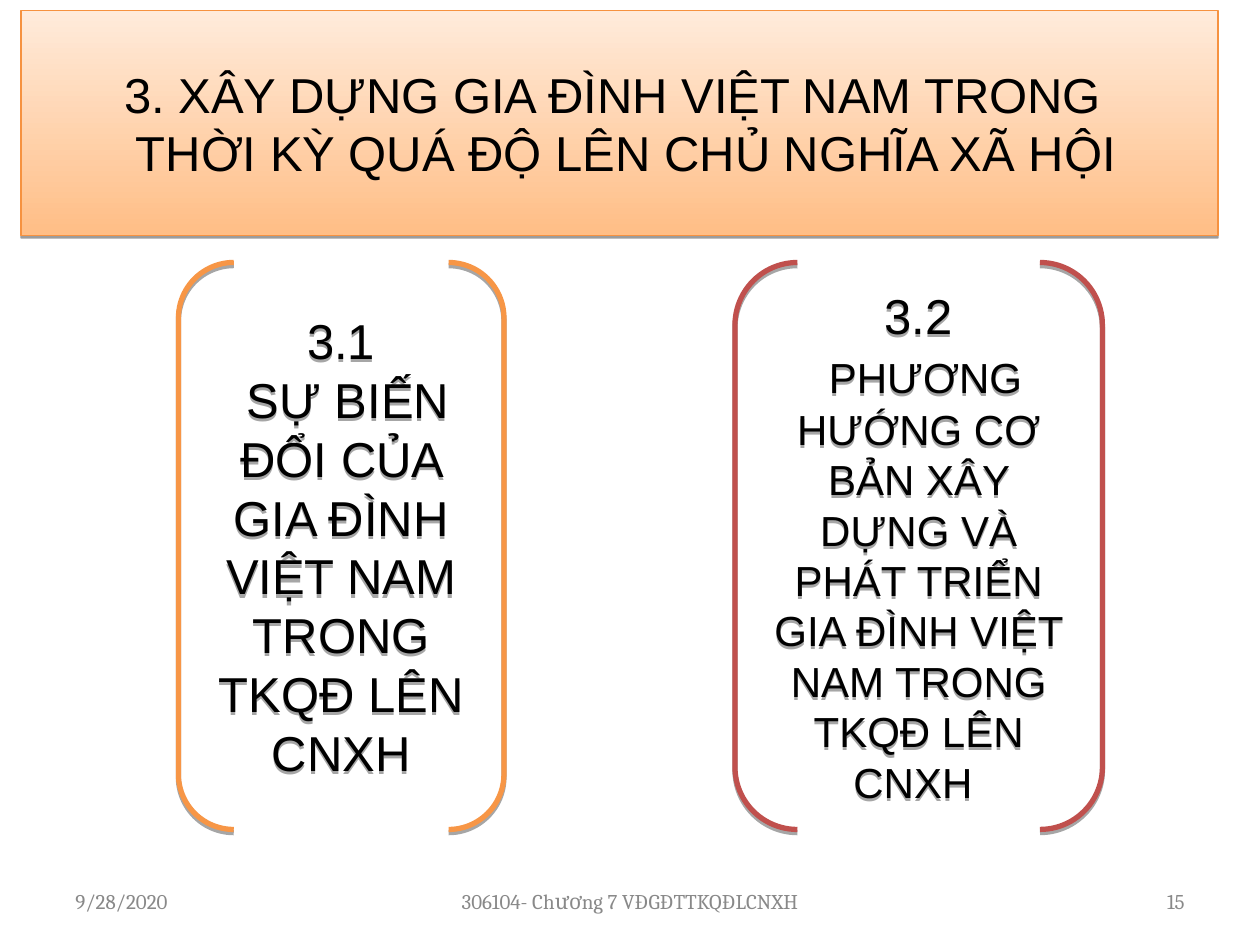
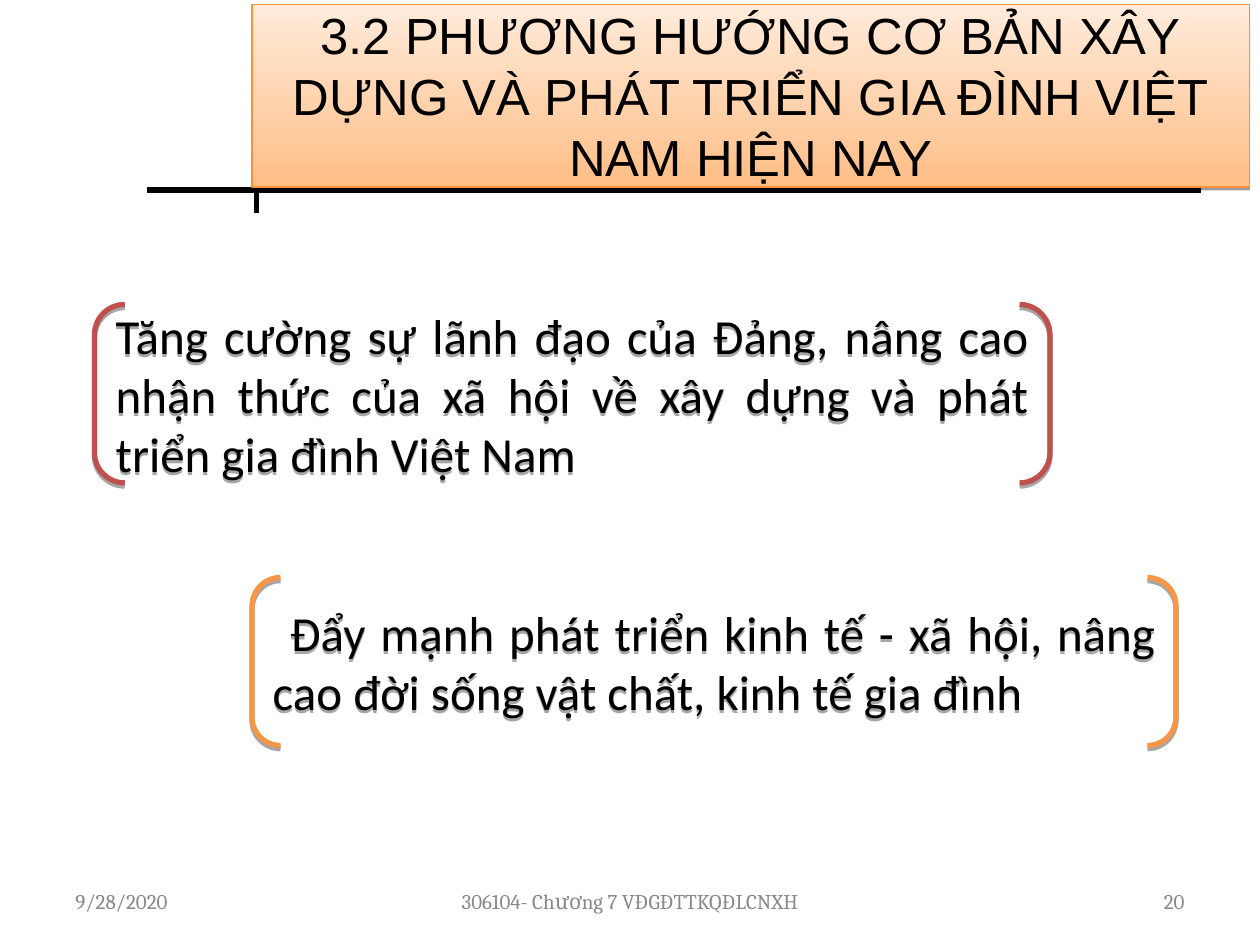
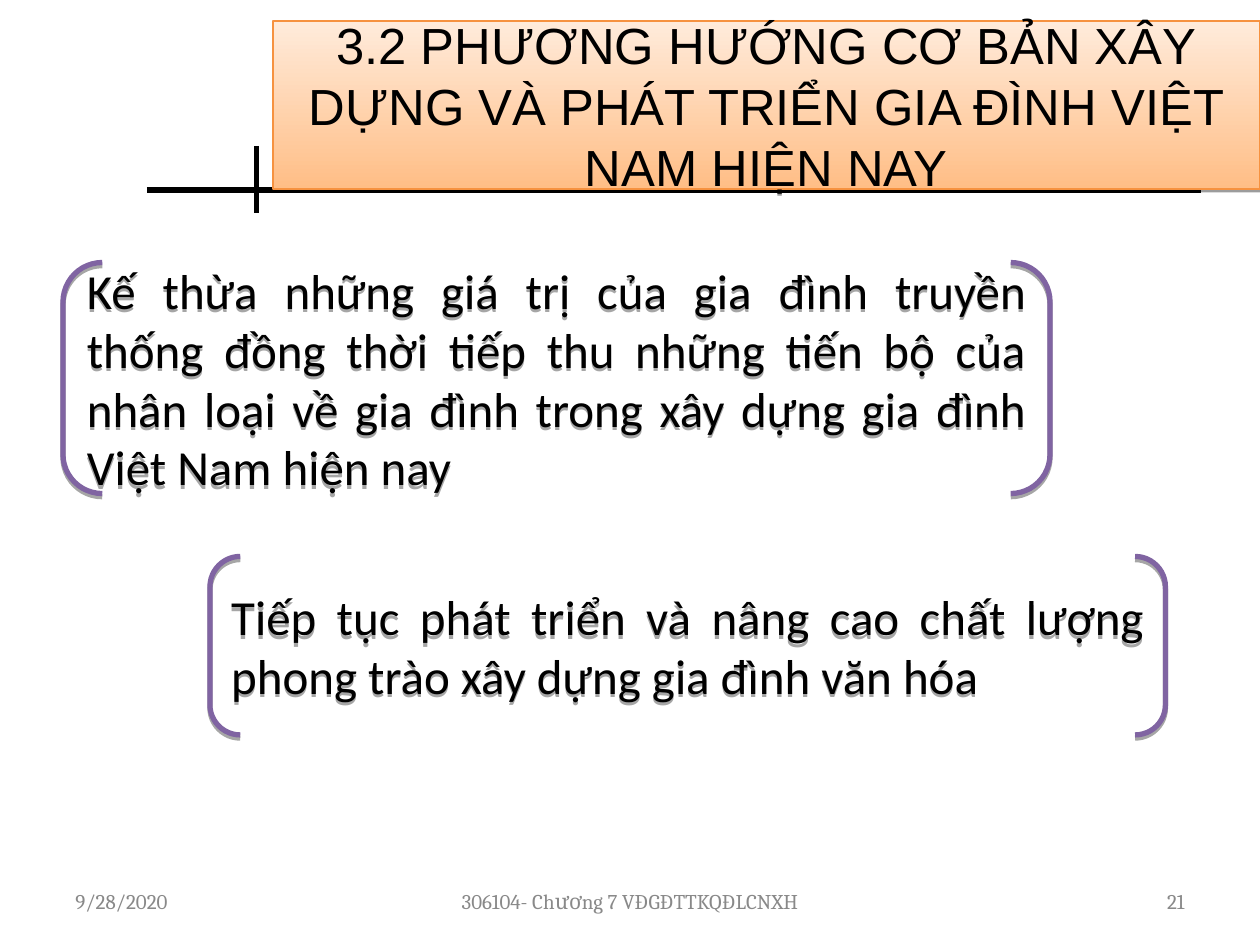
from lxml import etree
from pptx import Presentation
from pptx.dml.color import RGBColor
from pptx.enum.shapes import MSO_CONNECTOR, MSO_SHAPE
from pptx.enum.text import MSO_ANCHOR, MSO_AUTO_SIZE, PP_ALIGN
from pptx.oxml.ns import qn
from pptx.util import Inches, Pt

LEFT, CENTER, RIGHT, JUSTIFY = PP_ALIGN.LEFT, PP_ALIGN.CENTER, PP_ALIGN.RIGHT, PP_ALIGN.JUSTIFY
MIDDLE, NO_FIT = MSO_ANCHOR.MIDDLE, MSO_AUTO_SIZE.NONE
STRAIGHT, BRACKETS = MSO_CONNECTOR.STRAIGHT, MSO_SHAPE.DOUBLE_BRACKET

BLACK, GRAY = "000000", "898989"
ORANGE, RED, PURPLE = "F79646", "C0504D", "8064A2"
BAND_LINE, BAND_BOTTOM, BAND_TOP = "F69240", "FFBE86", "FFEBDB"

TITLE_ONLY = 5
COLUMNS = 120  # the grid is 120 columns by 90 rows of square cells
FOOTER_TEXT = "306104- Chương 7 VĐGĐTTKQĐLCNXH"
SECTION_TITLE = "3.2 PHƯƠNG HƯỚNG CƠ BẢN XÂY DỰNG VÀ PHÁT TRIỂN GIA ĐÌNH VIỆT NAM HIỆN NAY"

# Bracket paragraphs are lists of (text, size, font) spans.
pages = [
    {
        "number": "15",
        "title": "3. XÂY DỰNG GIA ĐÌNH VIỆT NAM TRONG \v THỜI KỲ QUÁ ĐỘ LÊN CHỦ NGHĨA XÃ HỘI",
        "title_size": 28,
        "title_area": (2, 1, 114, 21.4),
        "align": CENTER,
        "brackets": [
            ((17, 25, 31, 54), ORANGE, [
                [("3.1", 28, "Arial")],
                [(" SỰ BIẾN ĐỔI CỦA GIA ĐÌNH VIỆT NAM TRONG TKQĐ LÊN CNXH", 28, "Arial")],
            ]),
            ((70, 25, 35, 54), RED, [
                [("3.2", 28, "Arial")],
                [(" ", 28, "Arial"),
                 ("PHƯƠNG HƯỚNG CƠ BẢN XÂY DỰNG VÀ PHÁT TRIỂN GIA ĐÌNH VIỆT NAM "
                  "TRONG TKQĐ LÊN CNXH ", 24, "Arial")],
            ]),
        ],
    },
    {
        "number": "20",
        "title": SECTION_TITLE,
        "title_size": 29,
        "title_area": (24, 0.4, 95, 17.4),
        "align": JUSTIFY,
        "brackets": [
            ((9, 29, 91, 17), RED, [
                [("Tăng cường sự lãnh đạo của Đảng, nâng cao nhận thức của xã hội "
                  "về xây dựng và phát triển gia đình Việt Nam", 28, "Calibri")],
            ]),
            ((24, 55, 88, 16), ORANGE, [
                [(" ", 28, "Arial"),
                 ("Đẩy mạnh phát triển kinh tế - xã hội, nâng cao đời sống vật chất, "
                  "kinh tế gia đình", 28, "Calibri")],
            ]),
        ],
    },
    {
        "number": "21",
        "title": SECTION_TITLE,
        "title_size": 29,
        "title_area": (26, 2, 94, 16),
        "align": JUSTIFY,
        "brackets": [
            ((20, 53, 91, 17), PURPLE, [
                [("Tiếp tục phát triển và nâng cao chất lượng phong trào xây dựng "
                  "gia đình văn hóa", 28, "Calibri")],
            ]),
            ((6, 25, 94, 22), PURPLE, [
                [("Kế thừa những giá trị của gia đình truyền thống đồng thời tiếp thu "
                  "những tiến bộ của nhân loại về gia đình trong xây dựng gia đình "
                  "Việt Nam hiện nay", 28, "Calibri")],
            ]),
        ],
    },
]


def style(shape, line, width, distance, alpha):
    """Give the shape its outline and a hard shadow straight below it."""
    shape.line.color.rgb = RGBColor.from_string(line)
    shape.line.width = Pt(width)
    effects = etree.SubElement(shape._element.spPr, qn("a:effectLst"))
    if distance:
        shadow = etree.SubElement(effects, qn("a:outerShdw"), blurRad="0",
                                  dist=str(Pt(distance)), dir="5400000", rotWithShape="0")
        color = etree.SubElement(shadow, qn("a:srgbClr"), val=BLACK)
        etree.SubElement(color, qn("a:alpha"), val=str(alpha * 1000))


def write(shape, paragraphs, align, color):
    """Fill the shape with paragraphs made of (text, size, font) spans."""
    frame = shape.text_frame
    settings = {"word_wrap": True, "auto_size": NO_FIT, "vertical_anchor": MIDDLE}
    for name, value in settings.items():
        setattr(frame, name, value)
    for index, spans in enumerate(paragraphs):
        para = frame.add_paragraph() if index else frame.paragraphs[0]
        para.alignment = align
        for text, size, font in spans:
            # A vertical tab in the text stands for a line break.
            for part, words in enumerate(text.split("\v")):
                if part:
                    para.add_line_break()
                span = para.add_run()
                span.text = words
                for name, value in {"size": Pt(size), "name": font, "bold": False}.items():
                    setattr(span.font, name, value)
                span.font.color.rgb = RGBColor.from_string(color)


deck = Presentation()
deck.slide_width, deck.slide_height = Inches(10), Inches(7.5)
cell = deck.slide_width / COLUMNS
layout = deck.slide_layouts[TITLE_ONLY]

for page_index, content in enumerate(pages):
    page = deck.slides.add_slide(layout)

    # The crossed rules belong to the master, so they are made only once.
    if page_index == 0:
        for ends in [(14, 18.1, 114.4, 18.1), (24.4, 13.9, 24.4, 20.3)]:
            rule = page.shapes.add_connector(STRAIGHT, *[int(end * cell) for end in ends])
            style(rule, BLACK, 3, 0, 0)
            deck.slide_master.shapes._spTree.append(rule._element)

    title = page.shapes.title
    places = zip(("left", "top", "width", "height"), content["title_area"])
    for name, cells in places:
        setattr(title, name, int(cells * cell))
    title.fill.gradient()
    title.fill.gradient_angle = 90
    for stop, color in zip(title.fill.gradient_stops, (BAND_BOTTOM, BAND_TOP)):
        stop.color.rgb = RGBColor.from_string(color)
    style(title, BAND_LINE, 0.75, 1.6, 38)
    write(title, [[(content["title"], content["title_size"], "Arial")]], CENTER, BLACK)

    for area, color, paragraphs in content["brackets"]:
        bracket = page.shapes.add_shape(BRACKETS, *[int(cells * cell) for cells in area])
        bracket.adjustments[0] = 0.17
        bracket.fill.background()
        style(bracket, color, 3, 1.8, 35)
        write(bracket, paragraphs, content["align"], BLACK)

    footers = [
        (6, 28, "9/28/2020", LEFT),
        (41, 38, FOOTER_TEXT, CENTER),
        (86, 28, content["number"], RIGHT),
    ]
    for column, span_columns, text, align in footers:
        area = (column, 83.4, span_columns, 4.8)
        box = page.shapes.add_textbox(*[int(cells * cell) for cells in area])
        write(box, [[(text, 12, "Cambria")]], align, GRAY)

deck.save("out.pptx")
